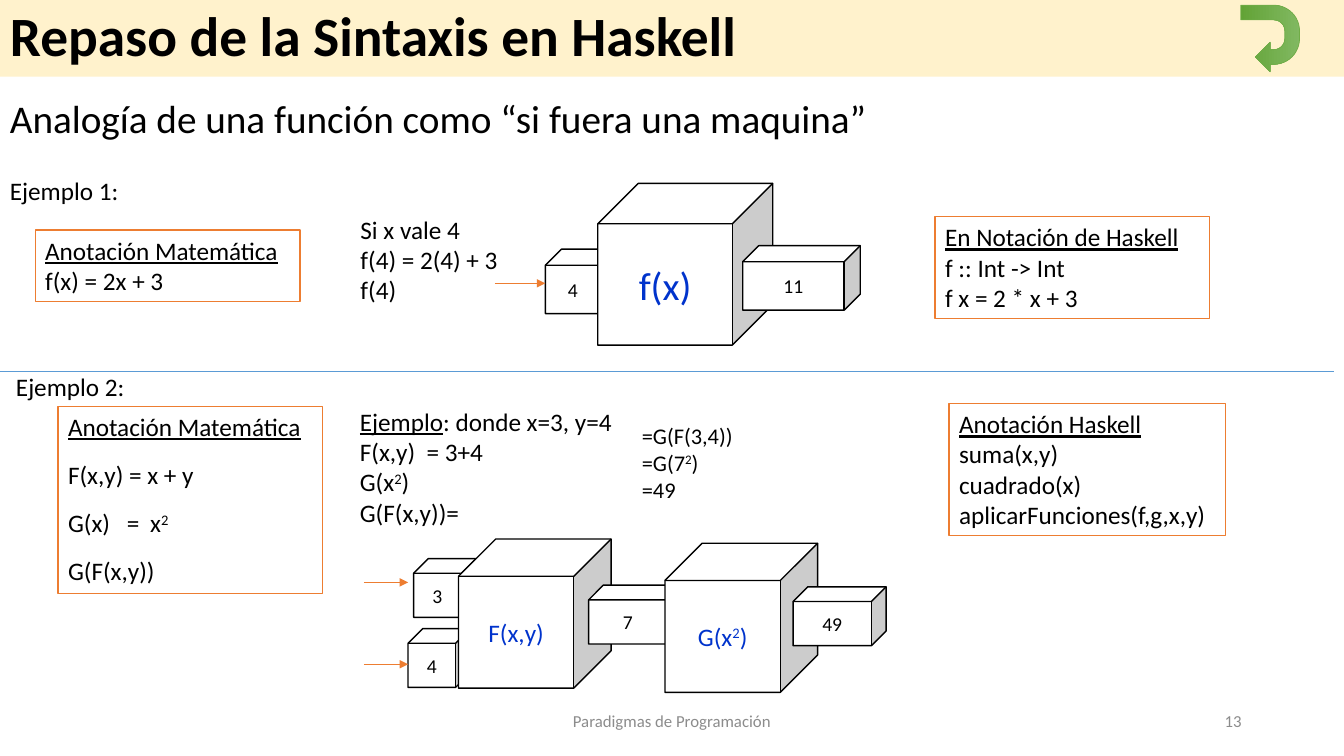
import pptx
import pptx.util
import pptx.dml.color
import pptx.enum.shapes
import pptx.enum.text
import pptx.oxml
import pptx.oxml.ns
from lxml import etree

Pt = pptx.util.Pt
SHAPE = pptx.enum.shapes.MSO_SHAPE
ALIGN = pptx.enum.text.PP_ALIGN
ANCHOR = pptx.enum.text.MSO_ANCHOR
qn = pptx.oxml.ns.qn

COLORS = {
    "cream": "FFF2CC", "white": "FFFFFF", "black": "000000", "gray": "8C8C8C",
    "blue": "0033CC", "orange": "ED7D31", "divider": "5B9BD5",
    "green": "70AD47", "light_green": "81B861", "dark_green": "62A336",
}
UNDER = {"underline": True}
SUP = {"sup": True}


def rgb(name):
    return pptx.dml.color.RGBColor.from_string(COLORS[name])


def add_text(sp, paragraphs, size=18, color="black", bold=False, align=ALIGN.LEFT,
             anchor=ANCHOR.TOP, sizes=(), gap=0, line_spacing=None, tabs=()):
    """Each paragraph is a string or a list of (text, style) runs."""
    tf = sp.text_frame
    tf.word_wrap = True
    tf.vertical_anchor = anchor
    for i, runs in enumerate(paragraphs):
        p = tf.add_paragraph() if i else tf.paragraphs[0]
        p.alignment = align
        if i and gap:
            p.space_before = Pt(gap)
        if line_spacing:
            p.line_spacing = line_spacing
        if tabs:
            tab_list = etree.SubElement(p._p.get_or_add_pPr(), qn("a:tabLst"))
            for pos in tabs:
                etree.SubElement(tab_list, qn("a:tab"), pos=str(Pt(pos)), algn="l")
        for text, style in [(runs, {})] if isinstance(runs, str) else runs:
            r = p.add_run()
            r.text = text
            r.font.name = "Calibri"
            r.font.size = Pt(sizes[i] if sizes else size)
            r.font.bold = bold
            r.font.color.rgb = rgb(color)
            if style.get("underline"):
                r.font.underline = True
            if style.get("sup"):
                r._r.get_or_add_rPr().set("baseline", "30000")


def add_label(shapes, box, paragraphs, **fmt):
    add_text(shapes.add_textbox(*map(Pt, box)), paragraphs, **fmt)


def add_preset(shapes, kind, box, fill="white", line=None, width=1):
    sp = shapes.add_shape(kind, *map(Pt, box))
    sp.shadow.inherit = False
    sp.fill.solid()
    sp.fill.fore_color.rgb = rgb(fill)
    if line:
        sp.line.color.rgb = rgb(line)
        sp.line.width = Pt(width)
    else:
        sp.line.fill.background()
    return sp


def add_frame(shapes, box, paragraphs, **fmt):
    add_text(add_preset(shapes, SHAPE.RECTANGLE, box, line="orange"), paragraphs, **fmt)


def add_cube(shapes, box, text, size=14, color="black"):
    sp = add_preset(shapes, SHAPE.CUBE, box, line="black")
    add_text(sp, [text], size=size, color=color, align=ALIGN.CENTER, anchor=ANCHOR.MIDDLE)


def add_line(shapes, x1, x2, y, color, arrow=False):
    cx = shapes.add_connector(pptx.enum.shapes.MSO_CONNECTOR.STRAIGHT,
                              Pt(x1), Pt(y), Pt(x2), Pt(y))
    cx.line.color.rgb = rgb(color)
    cx.line.width = Pt(0.5)
    if arrow:
        etree.SubElement(cx.line._get_or_add_ln(), qn("a:tailEnd"), type="triangle")
    etree.SubElement(cx._element.spPr, qn("a:effectLst"))


def add_return_arrow(shapes):
    sp = add_preset(shapes, SHAPE.U_TURN_ARROW, (883.5, 6.5, 47.5, 42), line="green", width=0.5)
    sp.rotation = 90
    sp.fill.gradient()
    sp.fill.gradient_angle = 270
    for stop, color in zip(sp.fill.gradient_stops, ("light_green", "dark_green")):
        stop.color.rgb = rgb(color)


def add_header_and_footer(shapes):
    title = add_preset(shapes, SHAPE.RECTANGLE, (0, 0, 960, 54.7), fill="cream")
    add_text(title, ["Repaso de la Sintaxis en Haskell"], size=39.6, bold=True,
             anchor=ANCHOR.MIDDLE, line_spacing=0.9)
    add_return_arrow(shapes)
    small = {"size": 12, "color": "gray", "anchor": ANCHOR.MIDDLE}
    add_label(shapes, (318, 500.5, 324, 28.75), ["Paradigmas de Programación"],
              align=ALIGN.CENTER, **small)
    add_label(shapes, (678, 500.5, 216, 28.75), ["13"], align=ALIGN.RIGHT, **small)


def add_example_1(shapes):
    add_label(shapes, (0, 63.5, 640, 90),
              ["Analogía de una función como “si fuera una maquina”", "Ejemplo 1:"],
              sizes=(28, 18), gap=24.4)
    add_frame(shapes, (25.2, 164.3, 189, 50.9),
              [[("Anotación Matemática", UNDER)], "f(x) = 2x + 3"])
    add_label(shapes, (250.4, 149.5, 135.5, 72.7), ["Si x vale 4", "f(4) = 2(4) + 3", "f(4)"])
    add_frame(shapes, (668, 154.8, 196, 72.7),
              [[("En Notación de Haskell", UNDER)], "f :: Int -> Int", "f x = 2 * x + 3"])

    # Machine f
    machine = shapes.add_group_shape().shapes
    add_cube(machine, (389.5, 178, 51, 46), "4")
    add_cube(machine, (427, 131, 125, 115.5), "f(x)", size=28, color="blue")
    add_cube(machine, (530.5, 175.5, 84, 46), "11")
    add_line(machine, 353.5, 389.5, 202.4, "orange", arrow=True)


def add_example_2(shapes):
    add_label(shapes, (4.3, 261.4, 135.4, 29), ["Ejemplo 2:"])
    add_frame(shapes, (41.5, 290.2, 188.7, 133.7),
              [[("Anotación Matemática", UNDER)], "F(x,y) = x + y",
               [("G(x)\t=\tx", {}), ("2", SUP)], "G(F(x,y))"], gap=12.8, tabs=(42, 58.7))
    add_label(shapes, (250, 286.6, 197, 109),
              [[("Ejemplo", UNDER), (": donde x=3, y=4", {})], "F(x,y)\t= 3+4",
               [("G(x", {}), ("2", SUP), (")", {})], "G(F(x,y))="], tabs=(47.7,))
    add_label(shapes, (451.4, 298, 114.5, 67.7),
              ["=G(F(3,4))", [("=G(7", {}), ("2", SUP), (")", {})], "=49"], size=16)
    add_frame(shapes, (678, 288.2, 197.3, 94.4),
              [[("Anotación Haskell", UNDER)], "suma(x,y)", "cuadrado(x)",
               "aplicarFunciones(f,g,x,y)"])

    # Machines F and G in a chain
    chain = shapes.add_group_shape().shapes
    add_cube(chain, (295.5, 399, 44.5, 42), "3")
    add_cube(chain, (291.5, 449, 44.5, 42), "4")
    add_cube(chain, (327.5, 385, 109, 106.5), "F(x,y)", size=18, color="blue")
    add_cube(chain, (420.5, 418, 66.5, 42), "7")
    add_cube(chain, (475, 388, 109, 106.5), [("G(x", {}), ("2", SUP), (")", {})],
             size=18, color="blue")
    add_cube(chain, (566.5, 419.2, 66.5, 42), "49")
    for y in (416, 474.5):
        add_line(chain, 260, 291.5, y, "orange", arrow=True)


def main():
    prs = pptx.Presentation()
    prs.slide_width, prs.slide_height = Pt(960), Pt(540)
    s = prs.slides.add_slide(prs.slide_layouts[6])
    add_header_and_footer(s.shapes)
    add_example_1(s.shapes)
    add_line(s.shapes, 0, 952.6, 265.2, "divider")
    add_example_2(s.shapes)
    prs.save("out.pptx")


if __name__ == "__main__":
    main()
